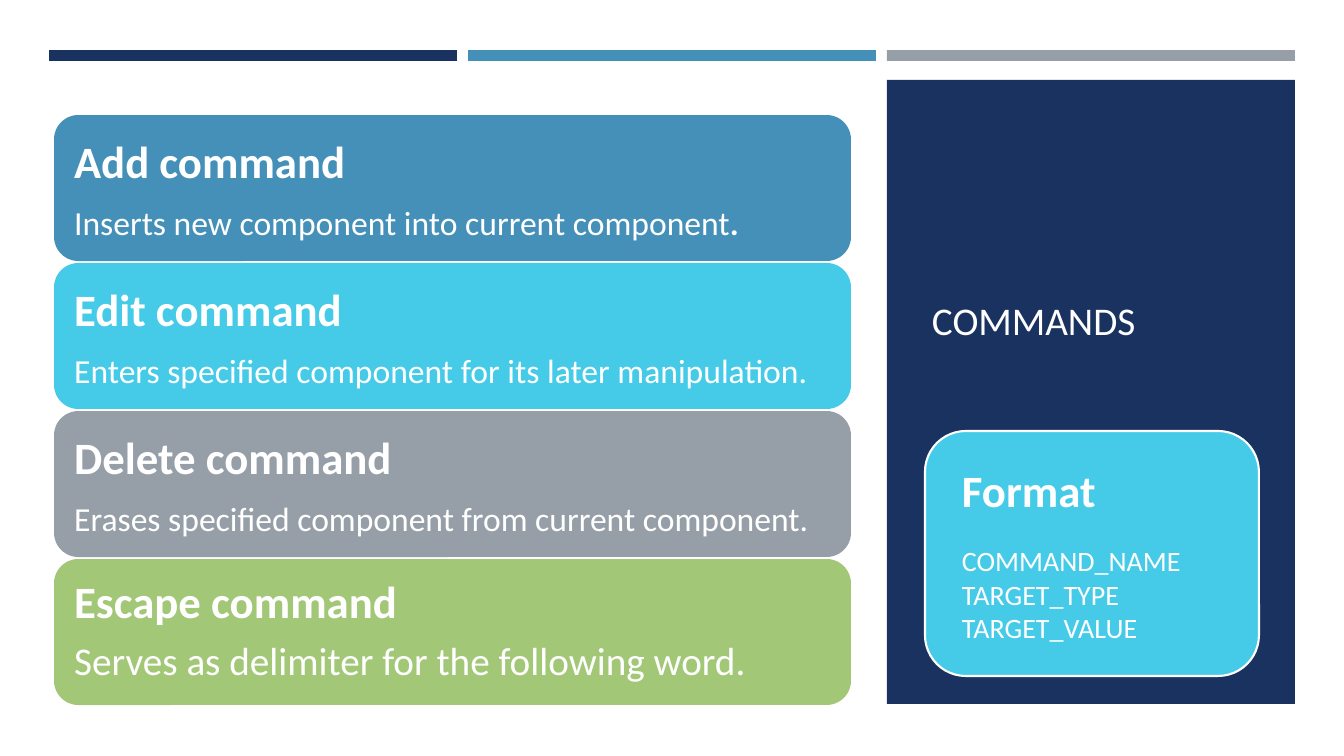
from typing import NamedTuple

from pptx import Presentation
from pptx.dml.color import RGBColor
from pptx.enum.shapes import MSO_SHAPE as Preset
from pptx.enum.text import MSO_ANCHOR as Anchor, MSO_AUTO_SIZE as AutoSize, PP_ALIGN as Align
from pptx.util import Pt

EMU_PER_PIXEL = 914400 / 100.8
FONT = "Calibri"
COLORS = {
    "navy": "1A3260",
    "blue": "4590B8",
    "cyan": "45CBE8",
    "gray": "969FA7",
    "green": "A2C777",
    "white": "FFFFFF",
    "title": "FFFEFF",
}


class Box(NamedTuple):
    """A rectangle in pixels."""
    left: int
    top: int
    width: int
    height: int


class TextRun(NamedTuple):
    """A piece of text in one style."""
    text: str
    size: int
    bold: bool = False
    color: str = "white"


class Card(NamedTuple):
    """A rounded card with a heading and a description."""
    heading: str
    lines: list[list[TextRun]]
    fill: str
    line_spacing: float = 1.0


COMMANDS = [
    Card("Add command", [[TextRun("Inserts new component into current component", 24),
                          TextRun(".", 24, True)]], "blue"),
    Card("Edit command",
         [[TextRun("Enters specified component for its later manipulation.", 24)]], "cyan"),
    Card("Delete command",
         [[TextRun("Erases specified component from current component.", 24)]], "gray"),
    Card("Escape command",
         [[TextRun("Serves as delimiter for the following word.", 28)]], "green", 0.9),
]
FORMAT = Card("Format", [[TextRun(word, 20, color="title")] for word in
                         ("COMMAND_NAME", "TARGET_TYPE", "TARGET_VALUE")], "cyan")


def px(pixels: int) -> int:
    """Turn pixels into EMU."""
    return round(pixels * EMU_PER_PIXEL)


def rgb(name: str) -> RGBColor:
    """Look up a colour by name."""
    return RGBColor.from_string(COLORS[name])


def add_run(paragraph, piece: TextRun) -> None:
    """Append one styled run to a paragraph."""
    run = paragraph.add_run()
    run.text = piece.text
    run.font.name = FONT
    run.font.size = Pt(piece.size)
    run.font.bold = piece.bold
    run.font.color.rgb = rgb(piece.color)


def set_frame(frame, left: int, top: int, right: int, bottom: int) -> None:
    """Set the insets, wrapping and middle anchor of a text frame."""
    frame.margin_left, frame.margin_top = px(left), px(top)
    frame.margin_right, frame.margin_bottom = px(right), px(bottom)
    frame.word_wrap = True
    frame.auto_size = AutoSize.NONE
    frame.vertical_anchor = Anchor.MIDDLE


def add_block(slide, box: Box, fill: str, preset=Preset.RECTANGLE):
    """Draw a flat filled shape without outline."""
    shape = slide.shapes.add_shape(preset, *map(px, box))
    shape.shadow.inherit = False
    shape.fill.solid()
    shape.fill.fore_color.rgb = rgb(fill)
    shape.line.fill.background()
    return shape


def add_card(slide, box: Box, card: Card, left_inset: int = 13, gap: float = 10):
    """Draw a rounded card with its heading and description."""
    shape = add_block(slide, box, card.fill, Preset.ROUNDED_RECTANGLE)
    frame = shape.text_frame
    set_frame(frame, left_inset, 13, 0, 13)
    heading, description = frame.paragraphs[0], frame.add_paragraph()
    for paragraph in (heading, description):
        paragraph.alignment = Align.LEFT
        paragraph.line_spacing = card.line_spacing
    heading.space_after = Pt(gap)
    add_run(heading, TextRun(card.heading, 32, True))
    for index, line in enumerate(card.lines):
        if index:
            description.add_line_break()
        for piece in line:
            add_run(description, piece)
    return shape


def add_title(slide, panel) -> None:
    """Format the title and bring it in front of the panel."""
    title = slide.shapes.title
    title.left, title.top, title.width, title.height = map(px, Box(922, 115, 337, 519))
    set_frame(title.text_frame, 10, 5, 10, 115)
    paragraph = title.text_frame.paragraphs[0]
    paragraph.alignment = Align.LEFT
    add_run(paragraph, TextRun("COMMANDS", 28, color="title"))
    panel.element.addnext(title.element)


def build() -> None:
    """Build and save the slide."""
    presentation = Presentation()
    presentation.slide_width, presentation.slide_height = px(1344), px(756)
    slide = presentation.slides.add_slide(presentation.slide_layouts[5])

    for column, color in enumerate(("navy", "blue", "gray")):
        add_block(slide, Box(49 + 419 * column, 50, 408, 11), color)
    panel = add_block(slide, Box(887, 80, 408, 624), "navy")
    add_title(slide, panel)

    for row, command in enumerate(COMMANDS):
        add_card(slide, Box(54, 115 + 148 * row, 797, 146), command)
    format_card = add_card(slide, Box(925, 431, 334, 245), FORMAT, left_inset=25, gap=19.5)
    format_card.line.color.rgb = rgb("white")
    format_card.line.width = Pt(1.5)

    presentation.save("out.pptx")


build()
